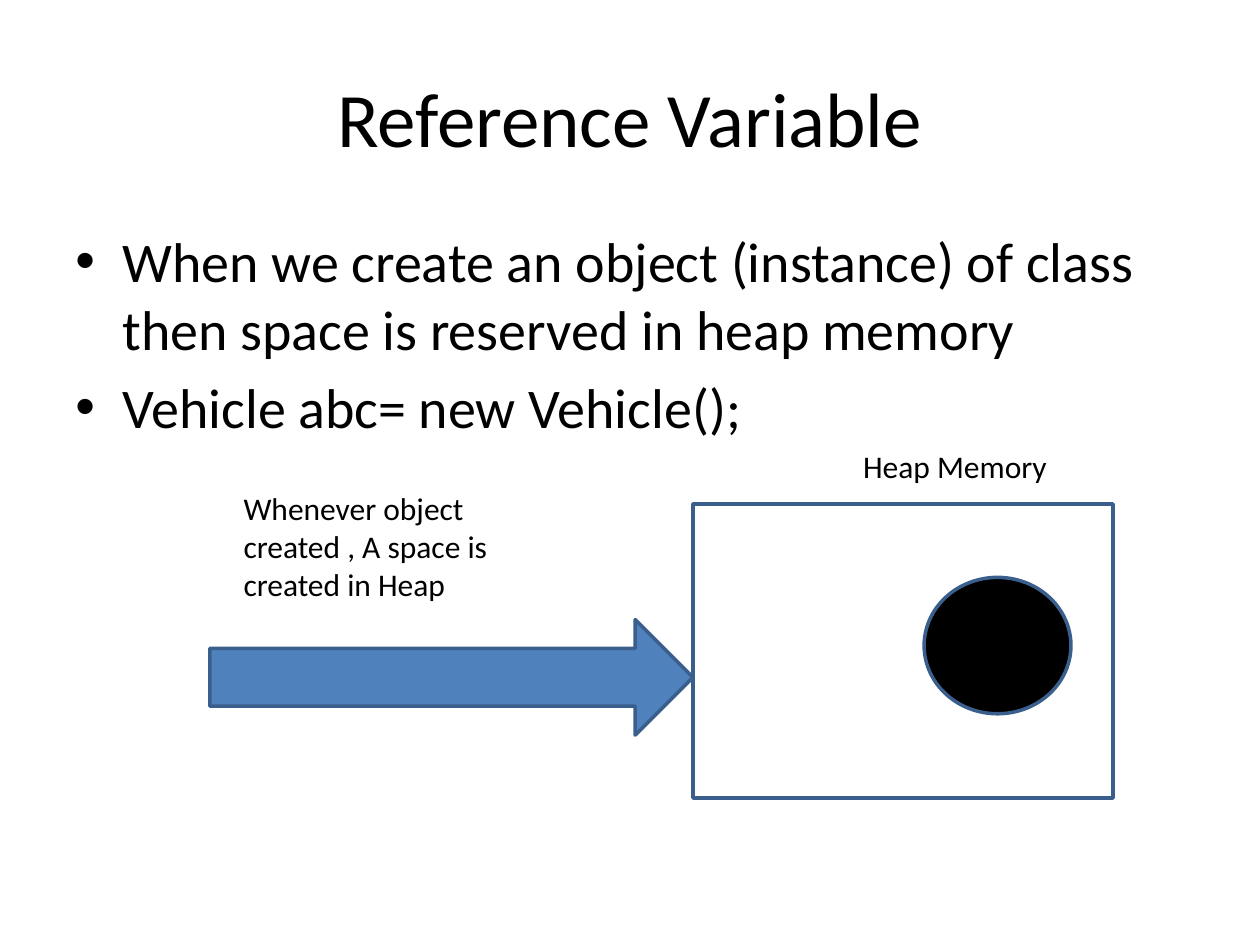
from dataclasses import dataclass, field

from lxml.etree import SubElement
from pptx import Presentation
from pptx.dml.color import RGBColor
from pptx.enum.shapes import MSO_SHAPE
from pptx.enum.text import MSO_ANCHOR, PP_ALIGN
from pptx.oxml.ns import qn
from pptx.util import Cm, Pt

COLORS = {"text": "000000", "outline": "3A5F8C", "arrow": "4F81BD", "object": "000000"}


@dataclass
class Label:
    box: tuple[float, float, float, float]
    lines: list[str]
    size: int
    bulleted: bool = False
    paragraph_format: dict = field(default_factory=dict)
    anchor: MSO_ANCHOR = MSO_ANCHOR.TOP


@dataclass
class Figure:
    kind: MSO_SHAPE
    box: tuple[float, float, float, float]
    fill: str | None = None


LABELS = [
    Label((1.27, 0.76, 22.86, 3.18), ["Reference Variable"], 44,
          paragraph_format={"alignment": PP_ALIGN.CENTER}, anchor=MSO_ANCHOR.MIDDLE),
    Label((1.27, 4.45, 22.86, 12.57),
          ["When we create an object\u00a0(instance) of class then space is reserved in heap memory",
           "Vehicle abc= new Vehicle();"],
          32, bulleted=True, paragraph_format={"space_before": Pt(6.4)}),
    Label((17.15, 8.89, 4.87, 1.03), ["Heap Memory"], 18),
    Label((4.66, 9.74, 6.99, 2.57),
          ["Whenever object created , A space is created in Heap"], 18),
]

FIGURES = [
    Figure(MSO_SHAPE.RECTANGLE, (13.97, 10.16, 8.47, 5.93)),
    Figure(MSO_SHAPE.OVAL, (18.63, 11.64, 2.96, 2.75), "object"),
    Figure(MSO_SHAPE.RIGHT_ARROW, (4.23, 12.49, 9.74, 2.33), "arrow"),
]


def rgb(name: str) -> RGBColor:
    return RGBColor.from_string(COLORS[name])


def add_bullet(p) -> None:
    """Give a paragraph a round bullet with a hanging indent."""
    pPr = p._p.get_or_add_pPr()
    pPr.set("marL", str(Cm(0.95)))
    pPr.set("indent", str(Cm(-0.95)))
    SubElement(pPr, qn("a:buFont"), typeface="Arial")
    SubElement(pPr, qn("a:buChar"), char="•")


def draw_label(slide, label: Label) -> None:
    tf = slide.shapes.add_textbox(*map(Cm, label.box)).text_frame
    tf.word_wrap = True
    tf.vertical_anchor = label.anchor
    for i, line in enumerate(label.lines):
        p = tf.add_paragraph() if i else tf.paragraphs[0]
        for name, value in label.paragraph_format.items():
            setattr(p, name, value)
        if label.bulleted:
            add_bullet(p)
        r = p.add_run()
        r.text = line
        for name, value in {"name": "Calibri", "size": Pt(label.size)}.items():
            setattr(r.font, name, value)
        r.font.color.rgb = rgb("text")


def draw_figure(slide, figure: Figure) -> None:
    sp = slide.shapes.add_shape(figure.kind, *map(Cm, figure.box))
    sp.shadow.inherit = False
    sp.line.color.rgb = rgb("outline")
    sp.line.width = Pt(2)
    if figure.fill:
        sp.fill.solid()
        sp.fill.fore_color.rgb = rgb(figure.fill)
    else:
        sp.fill.background()


def main() -> None:
    prs = Presentation()
    prs.slide_width, prs.slide_height = Cm(25.4), Cm(19.05)
    slide = prs.slides.add_slide(prs.slide_layouts[6])
    for figure in FIGURES:
        draw_figure(slide, figure)
    for label in LABELS:
        draw_label(slide, label)
    prs.save("out.pptx")


if __name__ == "__main__":
    main()
